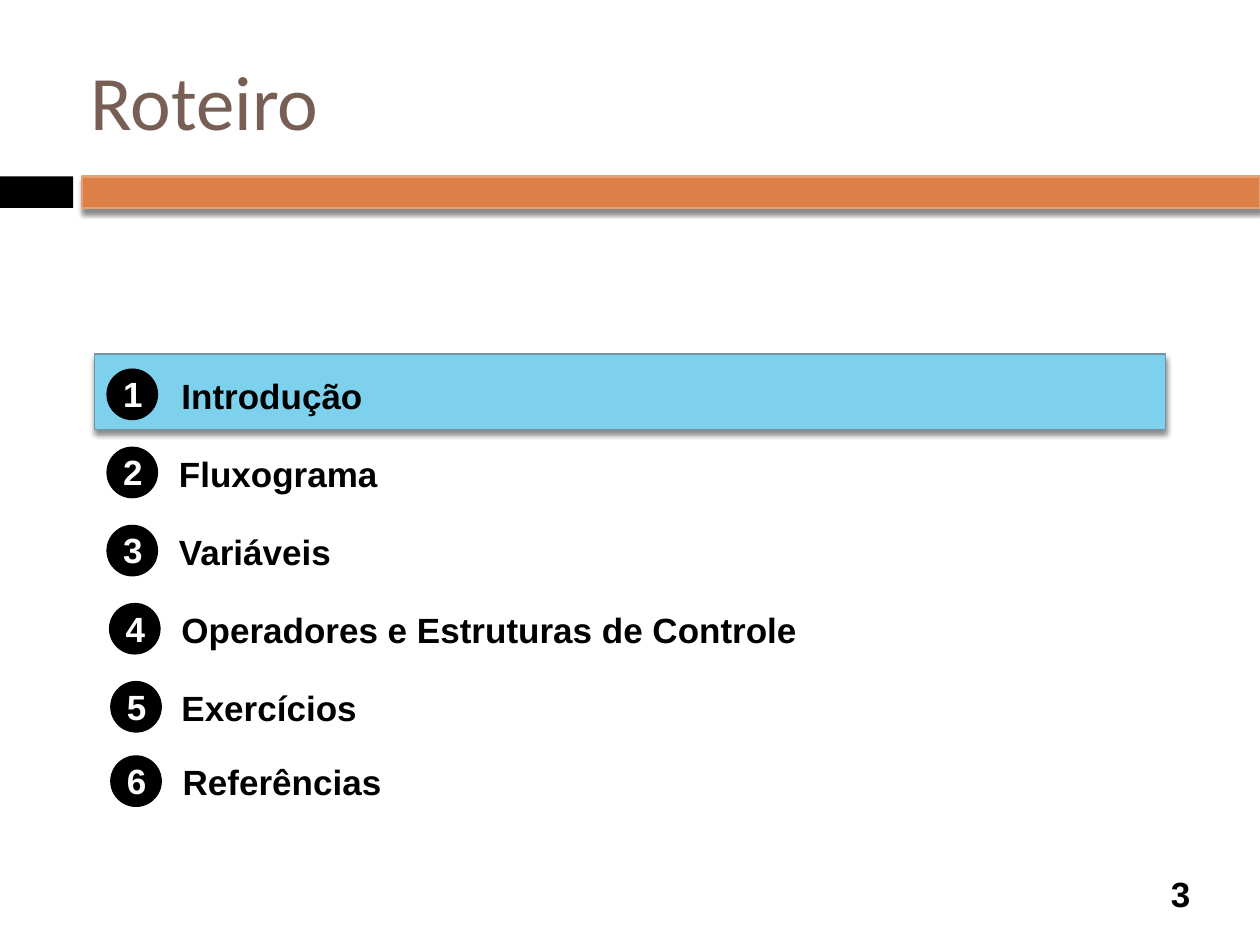
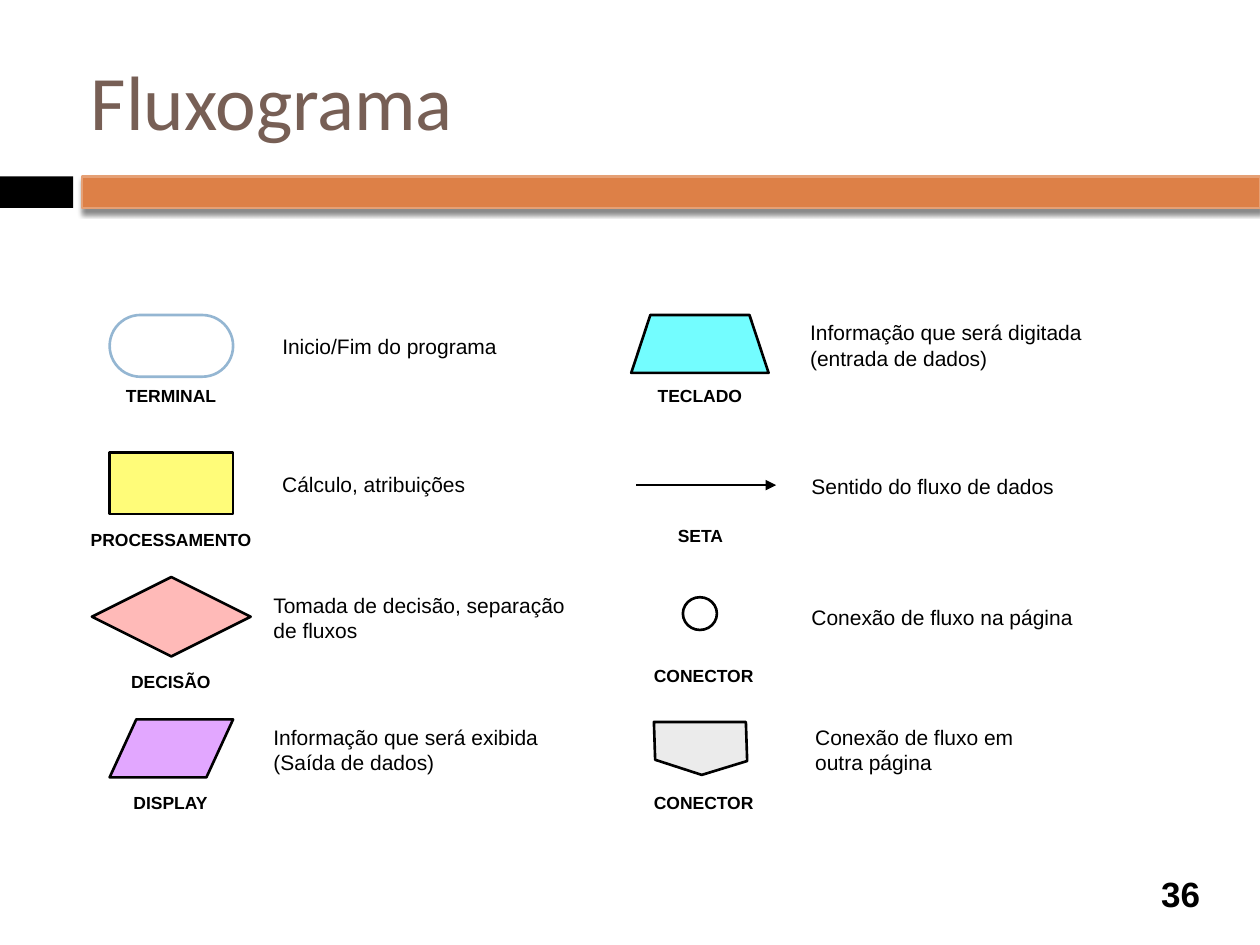
from dataclasses import dataclass
from typing import Any, NamedTuple, Optional

from pptx import Presentation
from pptx.dml.color import RGBColor
from pptx.enum.shapes import MSO_CONNECTOR, MSO_SHAPE
from pptx.enum.text import MSO_ANCHOR, MSO_AUTO_SIZE, PP_ALIGN
from pptx.oxml.ns import qn
from pptx.oxml.xmlchemy import OxmlElement
from pptx.util import Emu, Pt

PX = 9144  # EMU in one px: 100 px to the inch

BLACK, WHITE = "000000", "FFFFFF"
ORANGE, ORANGE_EDGE = "DD8047", "E5A075"
BROWN = "775F55"
SKY, SKY_EDGE = "7ED1EC", "7692A8"
STEEL = "94B6D2"

MARGINS = {f"margin_{side}": 5 * PX for side in ("left", "top", "right", "bottom")}
FIXED = {"auto_size": MSO_AUTO_SIZE.NONE, "word_wrap": True,
         "vertical_anchor": MSO_ANCHOR.MIDDLE}
GROW = {"auto_size": MSO_AUTO_SIZE.SHAPE_TO_FIT_TEXT, "word_wrap": False}
GROW_MIDDLE = {**GROW, "vertical_anchor": MSO_ANCHOR.MIDDLE}

TITLE = {"name": "Calibri", "size": Pt(44), "bold": False}
STRONG = {"name": "Arial", "size": Pt(20), "bold": True}
NOTE = {"name": "Arial", "size": Pt(12), "bold": False}
CAPTION = {"name": "Arial", "size": Pt(10), "bold": True}


class Box(NamedTuple):
    x: int
    y: int
    w: int
    h: int

    def emu(self) -> list[Emu]:
        return [Emu(v * PX) for v in self]


class Topic(NamedTuple):
    text: str
    badge_x: int
    badge_y: int
    text_x: int
    text_w: int


@dataclass
class Caption:
    text: str
    center_x: int
    y: int
    w: int


@dataclass
class Note:
    lines: tuple[str, ...]
    x: int
    y: int
    w: int


@dataclass
class Symbol:
    kind: MSO_SHAPE
    box: Box
    fill: str = WHITE
    line: str = BLACK
    adjust: Optional[float] = None
    opacity: int = 100


TOPICS = [
    Topic("Introdução", 85, 293, 139, 155),
    Topic("Fluxograma", 85, 355, 137, 169),
    Topic("Variáveis", 85, 417, 137, 132),
    Topic("Operadores e Estruturas de Controle", 87, 479, 139, 499),
    Topic("Exercícios", 88, 541, 139, 150),
    Topic("Referências", 88, 600, 140, 169),
]

SYMBOLS = [
    Symbol(MSO_SHAPE.ROUNDED_RECTANGLE, Box(87, 250, 98, 49), line=STEEL, adjust=0.5),
    Symbol(MSO_SHAPE.RECTANGLE, Box(87, 359, 98, 49), "FFFC79"),
    Symbol(MSO_SHAPE.DIAMOND, Box(73, 458, 126, 63), "FF7E79", opacity=53),
    Symbol(MSO_SHAPE.PARALLELOGRAM, Box(87, 571, 98, 46), "D783FF", adjust=0.46, opacity=70),
    Symbol(MSO_SHAPE.TRAPEZOID, Box(501, 250, 109, 46), "73FDFF", adjust=0.33),
    Symbol(MSO_SHAPE.OVAL, Box(542, 474, 27, 26)),
]
OFF_PAGE = [(519, 573), (592, 573), (593, 604), (557, 615), (520, 603)]
ARROW = (505, 385, 616, 385)

CAPTIONS = [
    Caption("TERMINAL", 136, 301, 83),
    Caption("PROCESSAMENTO", 136, 415, 139),
    Caption("DECISÃO", 136, 528, 75),
    Caption("DISPLAY", 136, 624, 70),
    Caption("TECLADO", 556, 301, 78),
    Caption("SETA", 556, 412, 47),
    Caption("CONECTOR", 559, 523, 90),
    Caption("CONECTOR", 559, 624, 90),
]

NOTES = [
    Note(("Inicio/Fim do programa",), 219, 260, 182),
    Note(("Cálculo, atribuições",), 219, 369, 157),
    Note(("Tomada de decisão, separação", "de fluxos"), 212, 465, 243),
    Note(("Informação que será exibida", "(Saída de dados)"), 212, 570, 222),
    Note(("Informação que será digitada", "(entrada de dados)"), 638, 249, 227),
    Note(("Sentido do fluxo de dados",), 639, 371, 204),
    Note(("Conexão de fluxo na página",), 639, 475, 219),
    Note(("Conexão de fluxo em", "outra página"), 642, 570, 173),
]


def rgb(color: str) -> RGBColor:
    return RGBColor.from_string(color)


def assign(target: Any, values: dict) -> None:
    for name, value in values.items():
        setattr(target, name, value)


def write(tf: Any, lines: tuple[str, ...], font: dict, color: str, frame: dict,
          align: PP_ALIGN = PP_ALIGN.LEFT) -> None:
    assign(tf, {**MARGINS, **frame})
    for i, line in enumerate(lines):
        p = tf.add_paragraph() if i else tf.paragraphs[0]
        p.alignment = align
        r = p.add_run()
        r.text = line
        assign(r.font, font)
        r.font.color.rgb = rgb(color)


def add_text(shapes: Any, box: Box, lines: tuple[str, ...], font: dict, color: str = BLACK,
             frame: dict = GROW, align: PP_ALIGN = PP_ALIGN.LEFT) -> None:
    write(shapes.add_textbox(*box.emu()).text_frame, lines, font, color, frame, align)


def paint(sp: Any, fill: str, line: Optional[str] = None, width: float = 1.5,
          opacity: int = 100) -> None:
    sp.shadow.inherit = False
    sp.fill.solid()
    sp.fill.fore_color.rgb = rgb(fill)
    if opacity < 100:
        alpha = OxmlElement("a:alpha")
        alpha.set("val", str(opacity * 1000))
        sp._element.spPr.find(qn("a:solidFill"))[0].append(alpha)
    if line:
        sp.line.color.rgb = rgb(line)
        sp.line.width = Pt(width)
    else:
        sp.line.fill.background()


def drop_shadow(sp: Any) -> None:
    shadow, color, alpha = (OxmlElement(f"a:{tag}") for tag in ("outerShdw", "srgbClr", "alpha"))
    for name, value in {"blurRad": Pt(3), "dist": Pt(2.4), "dir": 90 * 60000,
                        "rotWithShape": 0}.items():
        shadow.set(name, str(int(value)))
    color.set("val", BLACK)
    alpha.set("val", "45000")
    color.append(alpha)
    shadow.append(color)
    sp._element.spPr.find(qn("a:effectLst")).append(shadow)


def add_page(prs: Any, title: str, number: int) -> Any:
    """Add a slide with the shared band, title and page number."""
    s = prs.slides.add_slide(prs.slide_layouts[5])
    paint(s.shapes.add_shape(MSO_SHAPE.RECTANGLE, *Box(0, 140, 58, 25).emu()), BLACK)
    band = s.shapes.add_shape(MSO_SHAPE.RECTANGLE, *Box(65, 140, 935, 25).emu())
    paint(band, ORANGE, ORANGE_EDGE)
    drop_shadow(band)
    heading = s.shapes.title
    assign(heading, dict(zip(("left", "top", "width", "height"), Box(67, 25, 892, 108).emu())))
    write(heading.text_frame, (title,), TITLE, BROWN, FIXED)
    add_text(s.shapes, Box(908, 689, 58, 41), (str(number),), STRONG,
             frame=FIXED, align=PP_ALIGN.CENTER)
    return s


def add_topic(s: Any, number: int, topic: Topic) -> None:
    x, y = topic.badge_x, topic.badge_y
    badge = s.shapes.add_group_shape().shapes
    paint(badge.add_shape(MSO_SHAPE.OVAL, *Box(x, y, 40, 40).emu()), BLACK, BLACK, 0.75)
    add_text(badge, Box(x + 7, y - 1, 27, 41), (str(number),), STRONG, WHITE,
             GROW_MIDDLE, PP_ALIGN.CENTER)
    add_text(s.shapes, Box(topic.text_x, y - 1, topic.text_w, 41), (topic.text,), STRONG)


def add_symbol(s: Any, symbol: Symbol) -> None:
    sp = s.shapes.add_shape(symbol.kind, *symbol.box.emu())
    if symbol.adjust is not None:
        sp.adjustments[0] = symbol.adjust
    paint(sp, symbol.fill, symbol.line, opacity=symbol.opacity)


def add_arrow(s: Any, ends: tuple[int, ...]) -> None:
    arrow = s.shapes.add_connector(MSO_CONNECTOR.STRAIGHT, *(Emu(v * PX) for v in ends))
    arrow.line.color.rgb = rgb(BLACK)
    arrow.line.width = Pt(1.5)
    head = OxmlElement("a:tailEnd")
    head.set("type", "triangle")
    spPr = arrow._element.spPr
    spPr.find(qn("a:ln")).append(head)
    spPr.append(OxmlElement("a:effectLst"))


def build_agenda(prs: Any) -> None:
    s = add_page(prs, "Roteiro", 3)
    current = s.shapes.add_shape(MSO_SHAPE.ROUNDED_RECTANGLE, *Box(75, 281, 850, 60).emu())
    current.adjustments[0] = 0
    paint(current, SKY, SKY_EDGE, 0.79)
    drop_shadow(current)
    for number, topic in enumerate(TOPICS, start=1):
        add_topic(s, number, topic)


def build_flowchart_legend(prs: Any) -> None:
    s = add_page(prs, "Fluxograma", 36)
    for symbol in SYMBOLS:
        add_symbol(s, symbol)
    add_arrow(s, ARROW)
    outline = s.shapes.build_freeform(*OFF_PAGE[0], scale=PX)
    outline.add_line_segments(OFF_PAGE[1:], close=True)
    paint(outline.convert_to_shape(), "EBEBEB", BLACK)
    for note in NOTES:
        add_text(s.shapes, Box(note.x, note.y, note.w, 10 + 19 * len(note.lines)),
                 note.lines, NOTE)
    for caption in CAPTIONS:
        box = Box(caption.center_x - caption.w // 2, caption.y, caption.w, 25)
        add_text(s.shapes, box, (caption.text,), CAPTION)


def main() -> None:
    prs = Presentation()
    prs.slide_width, prs.slide_height = Emu(1000 * PX), Emu(750 * PX)
    build_agenda(prs)
    build_flowchart_legend(prs)
    prs.save("out.pptx")


if __name__ == "__main__":
    main()
